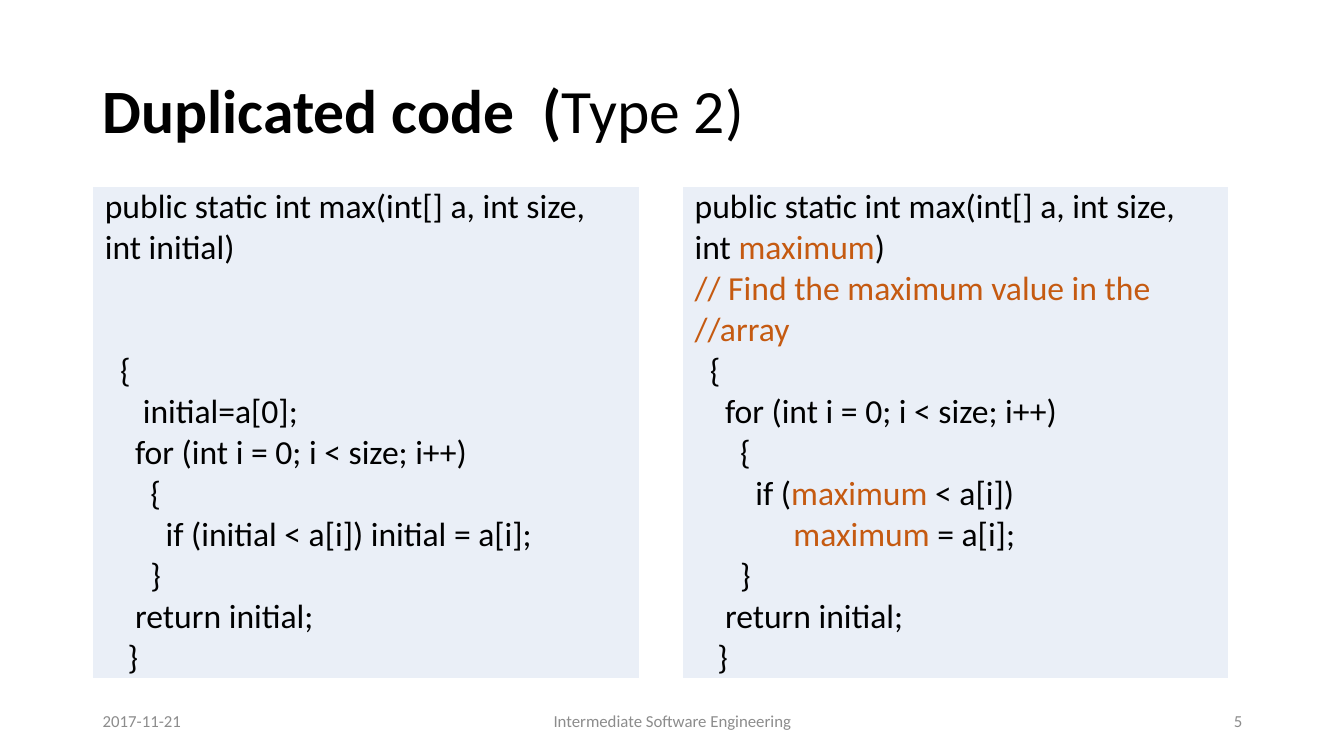
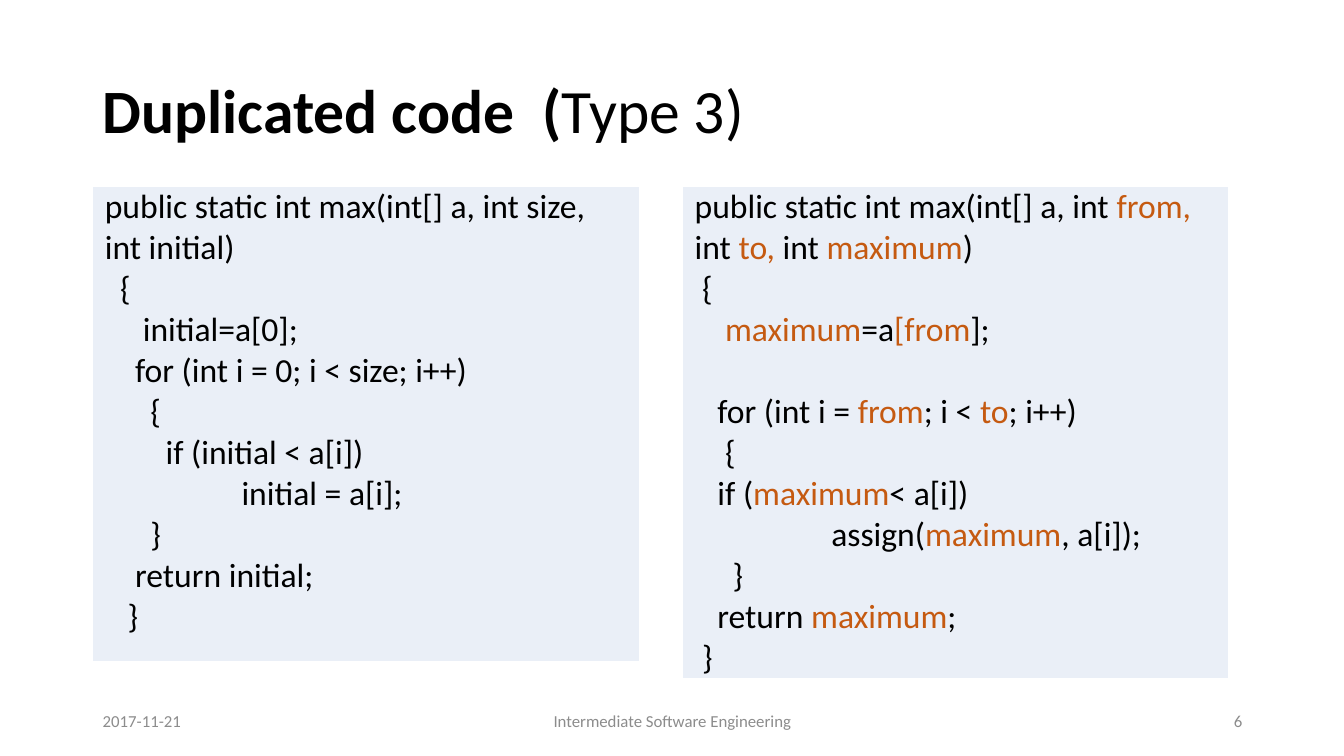
"""Build two slides that compare duplicated code side by side."""
from dataclasses import dataclass

from lxml import etree
from pptx import Presentation
from pptx import util as u
from pptx.dml.color import RGBColor
from pptx.enum import text
from pptx.oxml.ns import qn

FONT = "Calibri"
BLACK, WHITE, GREY = "000000", "FFFFFF", "8C8C8C"
ACCENT, PANEL = "C55A11", "EAEFF7"
LEFT, WIDTH = 0.92, 11.5
PANEL_TOP, PANEL_WIDTH, PANEL_STEP = 1.85, 5.42, 5.85
SHORT, TALL = 4.71, 4.88
FOOTER_TOP, FOOTER_HEIGHT = 6.95, 0.4
CODE_SIZE = 24
SPACE_WIDTH = CODE_SIZE * 0.226 / 72
LINE_HEIGHT = CODE_SIZE * 1.22
MARK = "|"


@dataclass(frozen=True)
class Line:
    indent: int
    code: str
    skipped: int = 0


@dataclass(frozen=True)
class Listing:
    height: float
    lines: list[Line]


@dataclass(frozen=True)
class Comparison:
    kind: str
    number: int
    listings: tuple[Listing, Listing]


@dataclass(frozen=True)
class Footer:
    left: float
    width: float
    align: text.PP_ALIGN
    words: str


SIGNATURE = Line(0, "public static int max(int[] a, int size, int initial)")
LOOP = Line(4, "for (int i = 0; i < size; i++)")
ENDING = [Line(6, "}"), Line(4, "return initial;"), Line(3, "}")]

COMPARISONS = [
    Comparison("Type 2)", 5, (
        Listing(TALL, [
            SIGNATURE, Line(2, "{", skipped=2), Line(5, "initial=a[0];"), LOOP,
            Line(6, "{"), Line(8, "if (initial < a[i]) initial = a[i];"), *ENDING]),
        Listing(TALL, [
            Line(0, "public static int max(int[] a, int size, int| maximum|)"),
            Line(0, "|// Find the maximum value in the //array|"),
            Line(2, "{"), LOOP, Line(6, "{"),
            Line(8, "if (|maximum| < a[i])"), Line(13, "|maximum| = a[i];"), *ENDING]),
    )),
    Comparison("Type 3)", 6, (
        Listing(SHORT, [
            SIGNATURE, Line(2, "{"), Line(5, "initial=a[0];"), LOOP, Line(6, "{"),
            Line(8, "if (initial < a[i])"), Line(18, "initial = a[i];"), *ENDING]),
        Listing(TALL, [
            Line(0, "public static int max(int[] a, int |from, |int| to,| int |maximum|)"),
            Line(1, "{"), Line(4, "|maximum|=a|[from|];"),
            Line(3, "for (int i = |from|; i < |to|; i++)", skipped=1),
            Line(4, "{"), Line(3, "if (|maximum|< a[i])"),
            Line(18, "assign(|maximum|, a[i]);"), Line(5, "}"),
            Line(3, "return |maximum|;"), Line(1, "}")]),
    )),
]


def colour(value: str) -> RGBColor:
    """Turn a hex string into a colour."""
    return RGBColor.from_string(value)


def add_span(para, words: str, size: float, shade: str, bold: bool = False) -> None:
    """Add one formatted run to a paragraph."""
    span = para.add_run()
    span.text = words
    span.font.name = FONT
    span.font.size = u.Pt(size)
    span.font.bold = bold
    span.font.color.rgb = colour(shade)


def add_label(page, left: float, top: float, width: float, height: float):
    """Add a wrapping, vertically centred text box and return its paragraph."""
    box = page.shapes.add_textbox(
        u.Inches(left), u.Inches(top), u.Inches(width), u.Inches(height)
    )
    frame = box.text_frame
    frame.word_wrap = True
    frame.vertical_anchor = text.MSO_ANCHOR.MIDDLE
    return frame.paragraphs[0]


def add_title(page, kind: str) -> None:
    """Add the half-bold slide title."""
    para = add_label(page, LEFT, 0.4, WIDTH, 1.45)
    para.line_spacing = 0.9
    add_span(para, "Duplicated code  (", 44, BLACK, bold=True)
    add_span(para, kind, 44, BLACK)


def add_footers(page, number: int) -> None:
    """Add the date, course name and slide number."""
    footers = (
        Footer(LEFT, 3, text.PP_ALIGN.LEFT, "2017-11-21"),
        Footer(4.42, 4.5, text.PP_ALIGN.CENTER, "Intermediate Software Engineering"),
        Footer(9.42, 3, text.PP_ALIGN.RIGHT, str(number)),
    )
    for footer in footers:
        para = add_label(page, footer.left, FOOTER_TOP, footer.width, FOOTER_HEIGHT)
        para.alignment = footer.align
        add_span(para, footer.words, 12, GREY)


def set_borders(cell, shade: str, width: float) -> None:
    """Draw the same border on all four sides of a cell."""
    properties = cell._tc.get_or_add_tcPr()
    for position, side in enumerate(("lnL", "lnR", "lnT", "lnB")):
        border = etree.Element(qn(f"a:{side}"), w=str(u.Pt(width)))
        fill = etree.SubElement(border, qn("a:solidFill"))
        etree.SubElement(fill, qn("a:srgbClr"), val=shade)
        properties.insert(position, border)


def add_code(para, line: Line) -> None:
    """Write a code line, with marked parts in the accent colour."""
    para._p.get_or_add_pPr().set("marL", str(u.Inches(line.indent * SPACE_WIDTH)))
    para.space_before = u.Pt(line.skipped * LINE_HEIGHT)
    for position, words in enumerate(line.code.split(MARK)):
        if words:
            add_span(para, words, CODE_SIZE, ACCENT if position % 2 else BLACK)


def add_panel(page, left: float, listing: Listing) -> None:
    """Add a one-cell table that holds a code listing."""
    table = page.shapes.add_table(
        1, 1, u.Inches(left), u.Inches(PANEL_TOP),
        u.Inches(PANEL_WIDTH), u.Inches(listing.height)
    ).table
    table.first_row = False
    table.horz_banding = False
    cell = table.cell(0, 0)
    cell.fill.solid()
    cell.fill.fore_color.rgb = colour(PANEL)
    set_borders(cell, WHITE, 1)
    cell.margin_left = cell.margin_right = u.Inches(0.12)
    cell.margin_top = cell.margin_bottom = u.Inches(0)
    frame = cell.text_frame
    for position, line in enumerate(listing.lines):
        add_code(frame.add_paragraph() if position else frame.paragraphs[0], line)


def main() -> None:
    """Build and save the deck."""
    deck = Presentation()
    deck.slide_width, deck.slide_height = u.Inches(13.33), u.Inches(7.5)
    for comparison in COMPARISONS:
        page = deck.slides.add_slide(deck.slide_layouts[6])
        add_title(page, comparison.kind)
        add_footers(page, comparison.number)
        for column, listing in enumerate(comparison.listings):
            add_panel(page, LEFT + column * PANEL_STEP, listing)
    deck.save("out.pptx")


if __name__ == "__main__":
    main()
